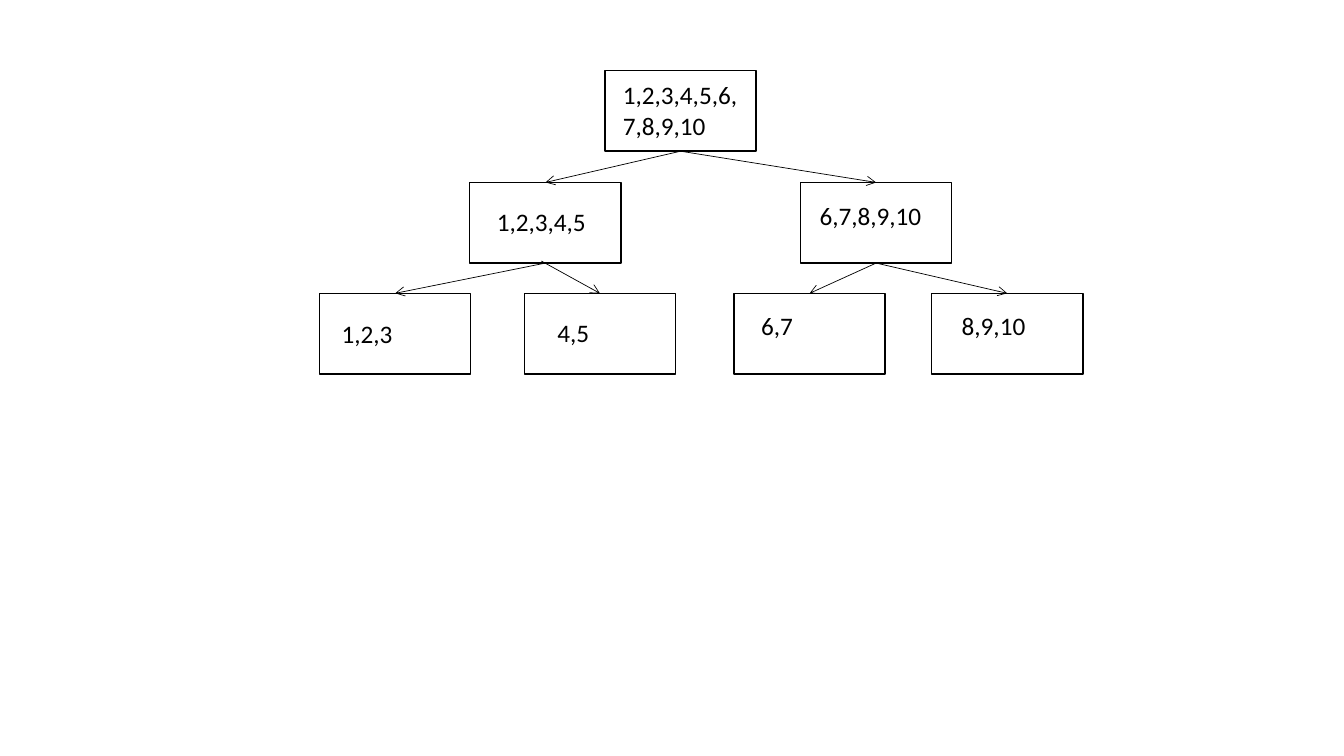
from lxml import etree
from pptx import Presentation
from pptx.dml.color import RGBColor
from pptx.enum.shapes import MSO_CONNECTOR, MSO_SHAPE
from pptx.oxml.ns import qn
from pptx.util import Emu, Pt

PX = 9144  # 100 px to the inch
SLIDE_W, SLIDE_H = 1333, 750
BLACK = RGBColor(0, 0, 0)
WHITE = RGBColor(255, 255, 255)
RECTANGLE = MSO_SHAPE.RECTANGLE
STRAIGHT = MSO_CONNECTOR.STRAIGHT

NODE_W, NODE_H = 150, 80
LEVEL_TOPS = (70, 181, 291)

# key: level, node left, label text, label (left, top, width, height)
NODES = {
    "root": (0, 600, "1,2,3,4,5,6,7,8,9,10", (608, 74, 136, 71)),
    "left": (1, 466, "1,2,3,4,5", (483, 200, 133, 40)),
    "right": (1, 794, "6,7,8,9,10", (803, 194, 133, 71)),
    "left-left": (2, 317, "1,2,3", (329, 311, 124, 40)),
    "left-right": (2, 520, "4,5", (543, 310, 91, 40)),
    "right-left": (2, 728, "6,7", (745, 303, 133, 40)),
    "right-right": (2, 924, "8,9,10", (944, 303, 116, 71)),
}

# parent, child, shift of the starting point
BRANCHES = [
    ("root", "left", (0, 0)),
    ("root", "right", (0, 0)),
    ("left", "left-left", (0, 0)),
    ("left", "left-right", (-4, -2)),
    ("right", "right-left", (0, 0)),
    ("right", "right-right", (0, 0)),
]


def px(*lengths):
    return [Emu(length * PX) for length in lengths]


def add_node(slide, level, left):
    node = slide.shapes.add_shape(
        RECTANGLE, *px(left, LEVEL_TOPS[level], NODE_W, NODE_H))
    node.shadow.inherit = False
    node.fill.solid()
    node.fill.fore_color.rgb = WHITE
    node.line.color.rgb = BLACK
    node.line.width = Pt(1)


def add_branch(slide, parent, child, shift):
    """Draw an arrow from the parent's bottom centre to the child's top centre."""
    parent_level, parent_left = NODES[parent][:2]
    child_level, child_left = NODES[child][:2]
    start_x = parent_left + NODE_W // 2 + shift[0]
    start_y = LEVEL_TOPS[parent_level] + NODE_H + shift[1]
    end_x = child_left + NODE_W // 2
    branch = slide.shapes.add_connector(
        STRAIGHT, *px(start_x, start_y, end_x, LEVEL_TOPS[child_level]))
    branch.line.color.rgb = BLACK
    branch.line.width = Pt(0.5)
    properties = branch.element.spPr
    etree.SubElement(properties.get_or_add_ln(), qn("a:tailEnd"), type="arrow")
    etree.SubElement(properties, qn("a:effectLst"))


def add_text(slide, text, bounds, size=18, font="Calibri", color=BLACK):
    frame = slide.shapes.add_textbox(*px(*bounds)).text_frame
    frame.word_wrap = True
    run = frame.paragraphs[0].add_run()
    run.text = text
    run.font.size = Pt(size)
    run.font.name = font
    run.font.color.rgb = color


def main():
    deck = Presentation()
    deck.slide_width, deck.slide_height = px(SLIDE_W, SLIDE_H)
    slide = deck.slides.add_slide(deck.slide_layouts[6])
    for level, left, _, _ in NODES.values():
        add_node(slide, level, left)
    for parent, child, shift in BRANCHES:
        add_branch(slide, parent, child, shift)
    for _, _, text, bounds in NODES.values():
        add_text(slide, text, bounds)
    deck.save("out.pptx")


if __name__ == "__main__":
    main()
